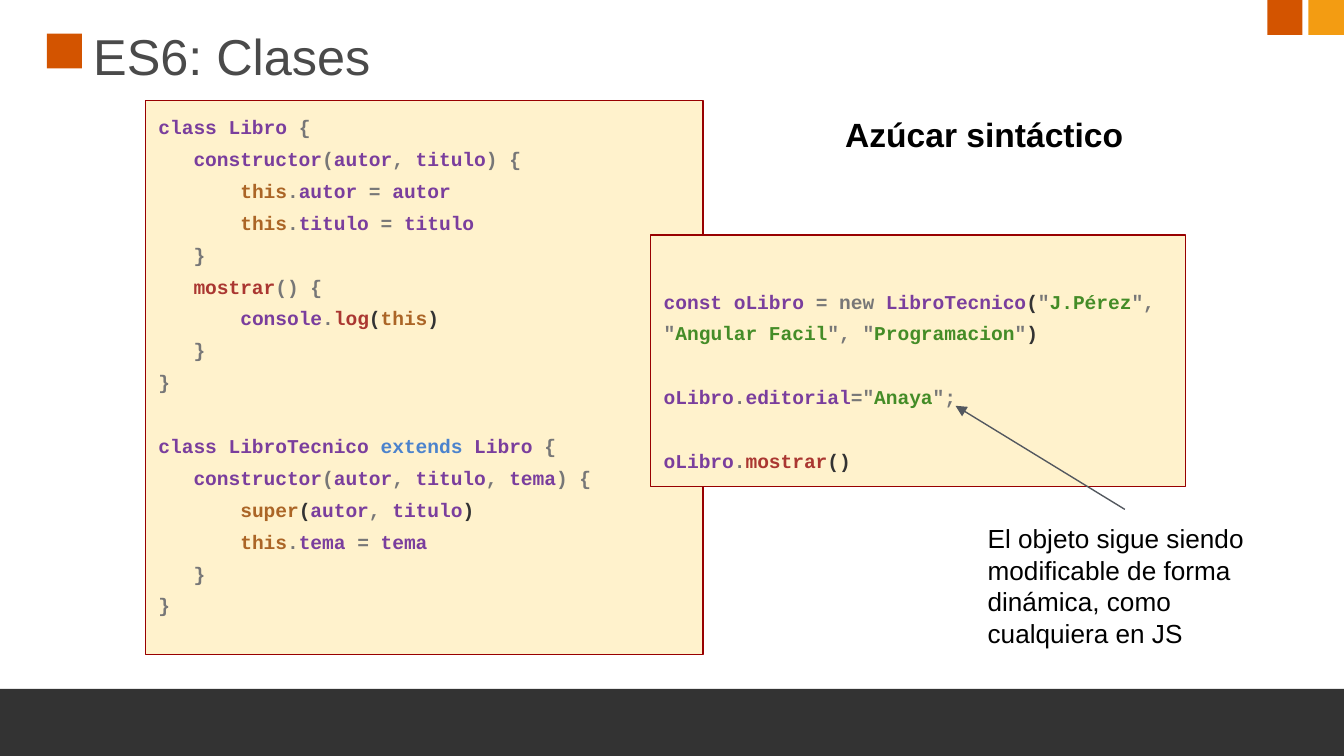
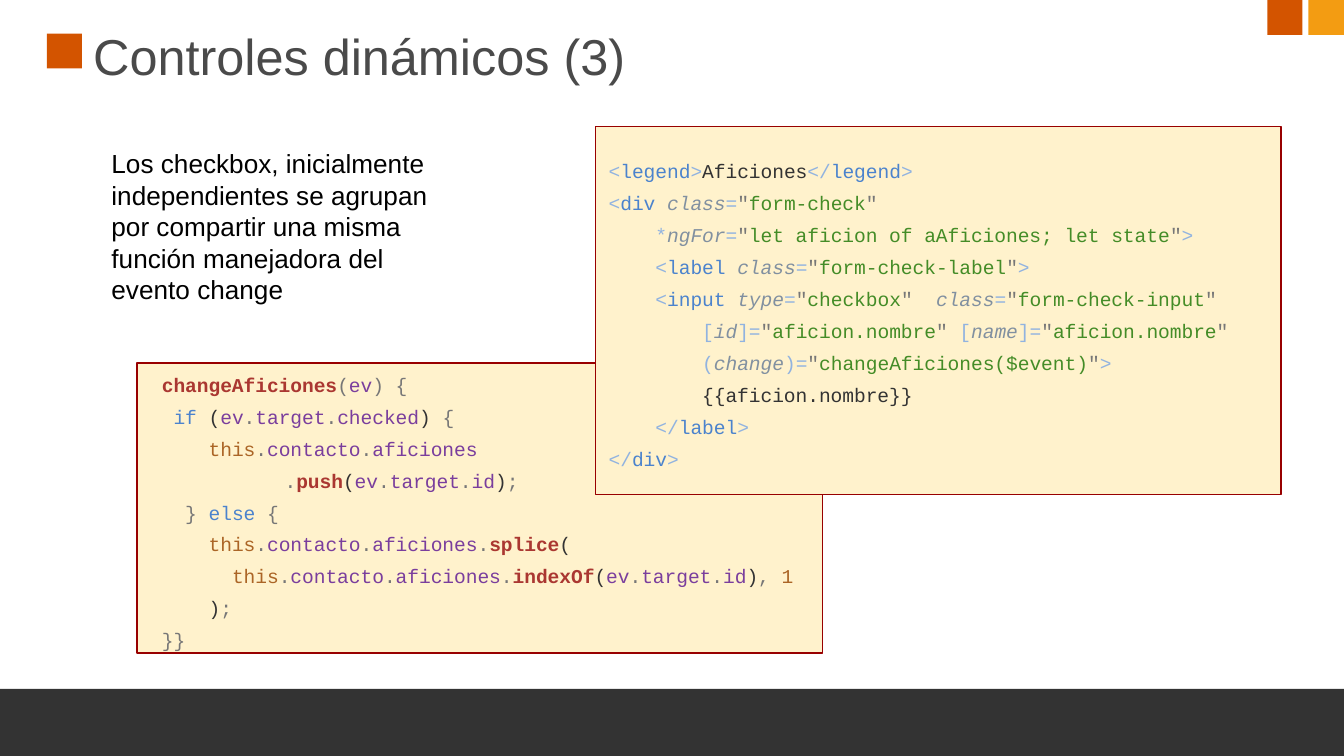
from dataclasses import dataclass, field
from pptx import Presentation
from pptx.dml.color import RGBColor
from pptx.enum.shapes import MSO_CONNECTOR, MSO_SHAPE
from pptx.enum.text import MSO_ANCHOR, MSO_AUTO_SIZE, PP_ALIGN
from pptx.oxml.ns import qn
from pptx.util import Pt
from lxml.etree import SubElement


@dataclass
class Theme:
    rust: str = "D35400"
    amber: str = "F39C12"
    dark: str = "333333"
    head: str = "4A4A4A"
    ink: str = "000000"
    cream: str = "FFF2CC"
    edge: str = "980000"
    arrow: str = "53585F"
    sans: str = "Arial"
    mono: str = "Courier New"
    title: float = 27
    lead: float = 18
    note: float = 14
    code: float = 10.5
    pitch: float = 1.36
    row: float = 17
    pad: float = 7.2
    # One letter per kind of token: v name, g mark, k plain, t this,
    # f function, b keyword, s string, a angle mark, i attribute
    token: dict = field(default_factory=lambda: {
        "v": "7A3E9D", "g": "777777", "k": "333333", "t": "AB6526", "f": "AA3731",
        "b": "4B83CD", "s": "448C27", "a": "91B3E0", "i": "8190A0"})


theme = Theme()


def write(para, text, size, color, face=theme.sans, bold=False, italic=False):
    run = para.add_run()
    run.text = text
    font = run.font
    font.name, font.size, font.bold, font.italic = face, Pt(size), bold, italic
    font.color.rgb = RGBColor.from_string(color)


def panel(slide, place, lines, bold=False, above=0, below=0):
    """Draw a code box; runs are split by ¦ and begin with a token letter.

    An empty line becomes space before the next; above and below are spare rows.
    """
    box = slide.shapes.add_shape(MSO_SHAPE.RECTANGLE, *map(Pt, place))
    box.shadow.inherit = False
    box.fill.solid()
    box.fill.fore_color.rgb = RGBColor.from_string(theme.cream)
    box.line.color.rgb = RGBColor.from_string(theme.edge)
    box.line.width = Pt(0.75)
    frame = box.text_frame
    frame.word_wrap = True
    frame.vertical_anchor = MSO_ANCHOR.MIDDLE
    frame.margin_left = frame.margin_right = Pt(theme.pad)
    frame.margin_top = Pt(theme.pad + above * theme.row)
    frame.margin_bottom = Pt(theme.pad + below * theme.row)
    para, gap = frame.paragraphs[0], 0
    for num, line in enumerate(lines):
        if not line:
            gap += theme.row
            continue
        if num:
            para = frame.add_paragraph()
        para.alignment = PP_ALIGN.LEFT
        para.line_spacing = theme.pitch
        if gap:
            para.space_before = Pt(gap)
        gap = 0
        for part in line.split("¦"):
            key = part[0]
            write(para, part[1:], theme.code, theme.token[key], theme.mono,
                  bold or key == "f", key == "i")
    return frame


deck = Presentation()
deck.slide_width, deck.slide_height = Pt(720), Pt(405)

# Shared frame: marks, footer band and title
blocks = [
    (25.2, 18, 18.7, 18.7, theme.rust),
    (0, 369, 720, 36, theme.dark),
    (679, 0, 18.7, 18.7, theme.rust),
    (701, 0, 19, 18.7, theme.amber),
]
slides = []
for name in ("ES6: Clases", "Controles dinámicos (3)"):
    slide = deck.slides.add_slide(deck.slide_layouts[5])
    for *place, color in blocks:
        block = slide.shapes.add_shape(MSO_SHAPE.RECTANGLE, *map(Pt, place))
        block.shadow.inherit = False
        block.fill.solid()
        block.fill.fore_color.rgb = RGBColor.from_string(color)
        block.line.fill.background()
    title = slide.shapes.title
    title.left, title.top, title.width, title.height = map(Pt, (45.4, 8.6, 617, 42.5))
    frame = title.text_frame
    frame.auto_size = MSO_AUTO_SIZE.NONE
    frame.vertical_anchor = MSO_ANCHOR.MIDDLE
    frame.margin_left = frame.margin_right = Pt(4.5)
    frame.margin_top = frame.margin_bottom = Pt(4.5)
    frame.paragraphs[0].alignment = PP_ALIGN.LEFT
    write(frame.paragraphs[0], name, theme.title, theme.head)
    slides.append(slide)
first, second = slides

# Slide 1: classes and their use
panel(first, (77.8, 54, 298.8, 296.6), [
    "vclass Libro ¦g{",
    "k   ¦vconstructor¦g(¦vautor¦g, ¦vtitulo¦g) {",
    "k       ¦tthis¦g.¦vautor ¦g= ¦vautor",
    "k       ¦tthis¦g.¦vtitulo ¦g= ¦vtitulo",
    "k   ¦g}",
    "k   ¦fmostrar¦g() {",
    "k       ¦vconsole¦g.¦flog¦k(¦tthis¦k)",
    "k   ¦g}",
    "g}",
    "",
    "vclass LibroTecnico ¦bextends ¦vLibro ¦g{",
    "k   ¦vconstructor¦g(¦vautor¦g, ¦vtitulo¦g, ¦vtema¦g) {",
    "k       ¦tsuper¦k(¦vautor¦g, ¦vtitulo¦k)",
    "k       ¦tthis¦g.¦vtema ¦g= ¦vtema",
    "k   ¦g}",
    "g}",
], bold=True, below=1)
panel(first, (348.5, 126, 286.6, 134.6), [
    'vconst oLibro ¦g= new ¦vLibroTecnico¦k(¦g"¦sJ.Pérez¦g", "¦sAngular Facil'
    '¦g", "¦sProgramacion¦g"¦k)',
    "",
    'voLibro¦g.¦veditorial¦g="¦sAnaya¦g";',
    "",
    "voLibro¦g.¦fmostrar¦k()",
], bold=True, above=1)

# Slide 2: handler below, markup on top
body = panel(second, (73.4, 194.4, 367.2, 155.5), [
    "k ¦fchangeAficiones¦g(¦vev¦g) {",
    "k  ¦bif¦k (¦vev¦g.¦vtarget¦g.¦vchecked¦k) ¦g{",
    "k     ¦tthis¦g.¦vcontacto¦g.¦vaficiones",
    "g.¦fpush¦k(¦vev¦g.¦vtarget¦g.¦vid¦k)¦g;",
    "k   ¦g} ¦belse ¦g{",
    "k     ¦tthis¦g.¦vcontacto¦g.¦vaficiones¦g.¦fsplice¦k(",
    "k       ¦tthis¦g.¦vcontacto¦g.¦vaficiones¦g.¦findexOf¦k("
    "¦vev¦g.¦vtarget¦g.¦vid¦k)¦g, ¦t1",
    "k     )¦g;",
    "k ¦g}}",
])
push = body.paragraphs[3]._p.get_or_add_pPr()
for side in ("marL", "indent"):
    push.set(side, str(Pt(36)))
panel(second, (319, 67.7, 367.2, 197.3), [
    "a<¦blegend¦a>¦kAficiones¦a</¦blegend¦a>",
    'a<¦bdiv ¦iclass¦a=¦g"¦sform-check¦g"',
    'a    *¦ingFor¦a=¦g"¦slet aficion of aAficiones; let state¦g"¦a>',
    'k    ¦a<¦blabel ¦iclass¦a=¦g"¦sform-check-label¦g"¦a>',
    'k    ¦a<¦binput ¦itype¦a=¦g"¦scheckbox¦g"  ¦iclass¦a=¦g"¦sform-check-input¦g"',
    'a        [¦iid¦a]=¦g"¦saficion.nombre¦g"¦a [¦iname¦a]=¦g"¦saficion.nombre¦g"',
    'a        (¦ichange¦a)=¦g"¦schangeAficiones($event)¦g"¦a>',
    "k        {{aficion.nombre}}",
    "k    ¦a</¦blabel¦a>",
    "a</¦bdiv¦a>",
])

# Remarks beside the code
notes = [
    (first, (445.7, 54, 176.4, 31), "Azúcar sintáctico", theme.lead, True),
    (first, (522, 272.9, 162, 82),
     "El objeto sigue siendo modificable de forma dinámica, como cualquiera en JS",
     theme.note, False),
    (second, (52.6, 72, 203, 101.5),
     "Los checkbox, inicialmente independientes se agrupan por compartir una misma "
     "función manejadora del evento change", theme.note, False),
]
for slide, place, text, size, bold in notes:
    frame = slide.shapes.add_textbox(*map(Pt, place)).text_frame
    frame.word_wrap = True
    frame.margin_left = frame.margin_right = Pt(theme.pad)
    frame.margin_top = frame.margin_bottom = Pt(theme.pad)
    write(frame.paragraphs[0], text, size, theme.ink, bold=bold)

arrow = first.shapes.add_connector(MSO_CONNECTOR.STRAIGHT,
                                   *map(Pt, (602.6, 272.9, 511.9, 217.4)))
arrow.line.color.rgb = RGBColor.from_string(theme.arrow)
arrow.line.width = Pt(0.75)
SubElement(arrow.line._get_or_add_ln(), qn("a:tailEnd"), type="triangle")
SubElement(arrow._element.spPr, qn("a:effectLst"))

deck.save("out.pptx")
